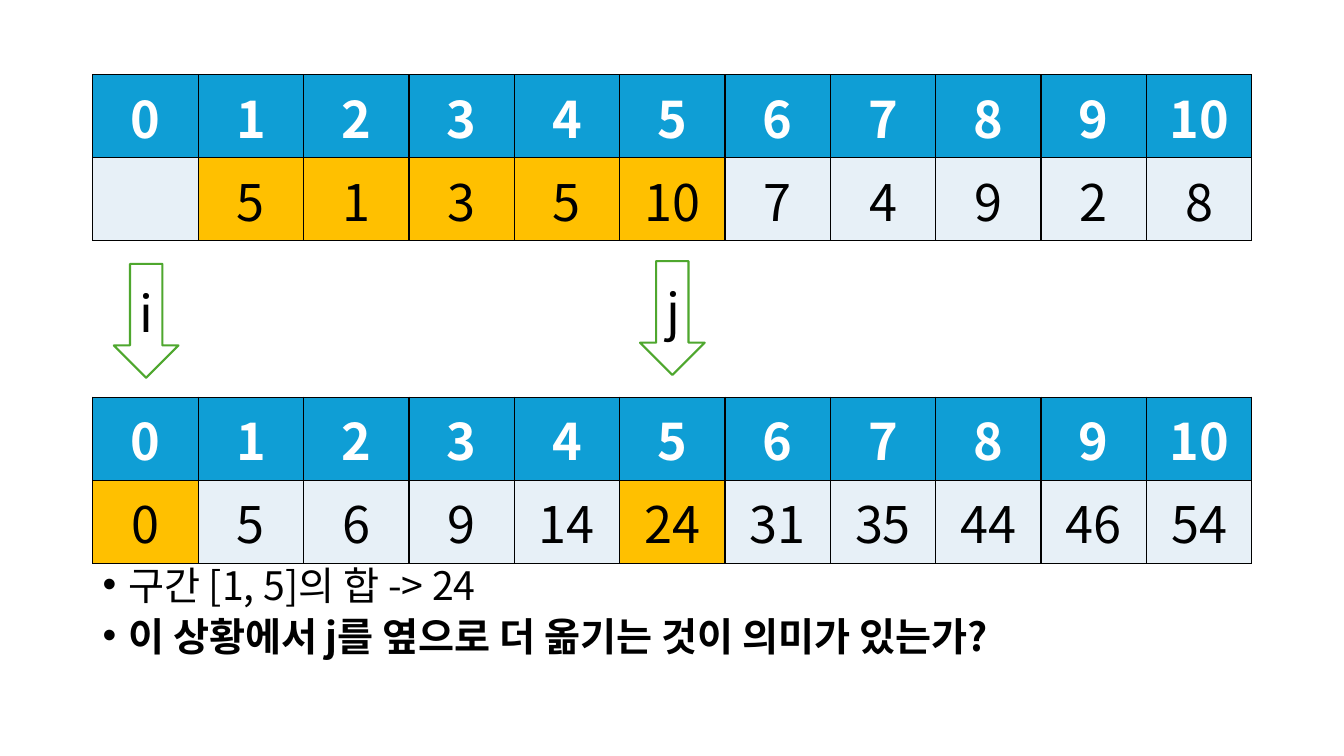
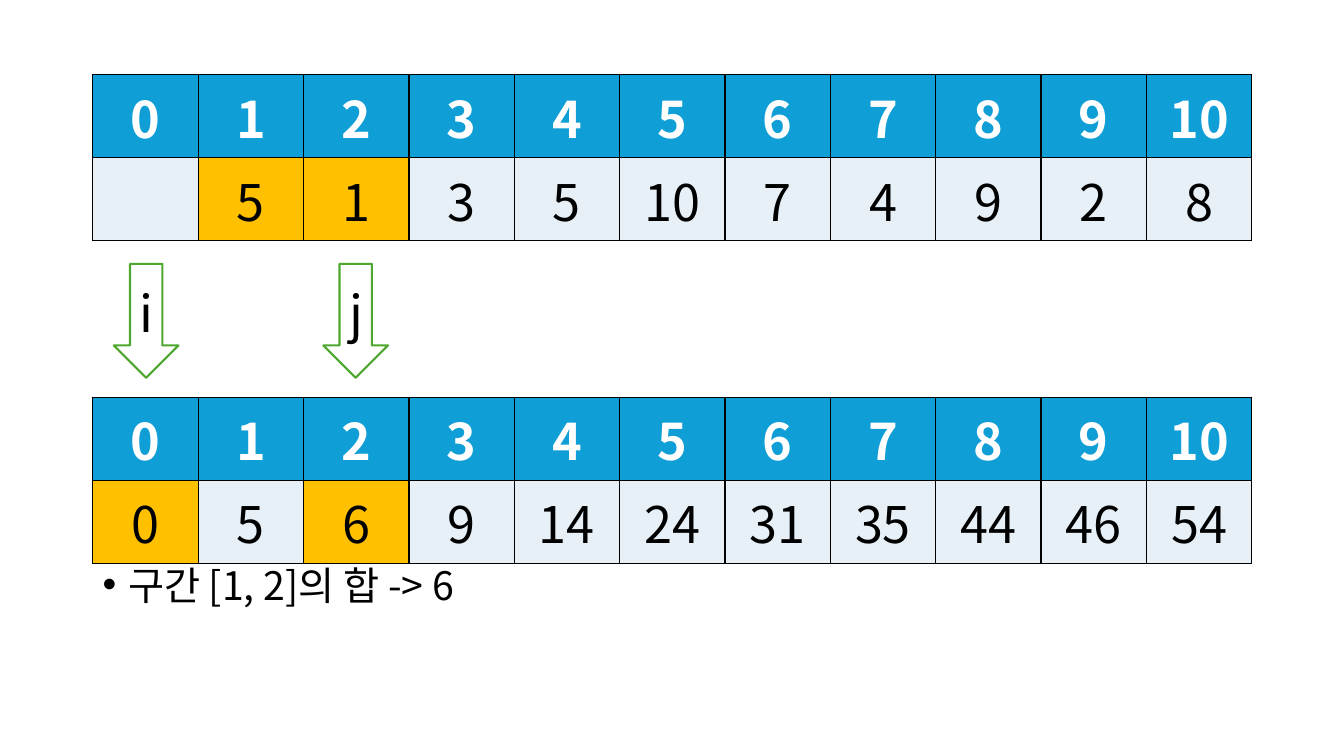
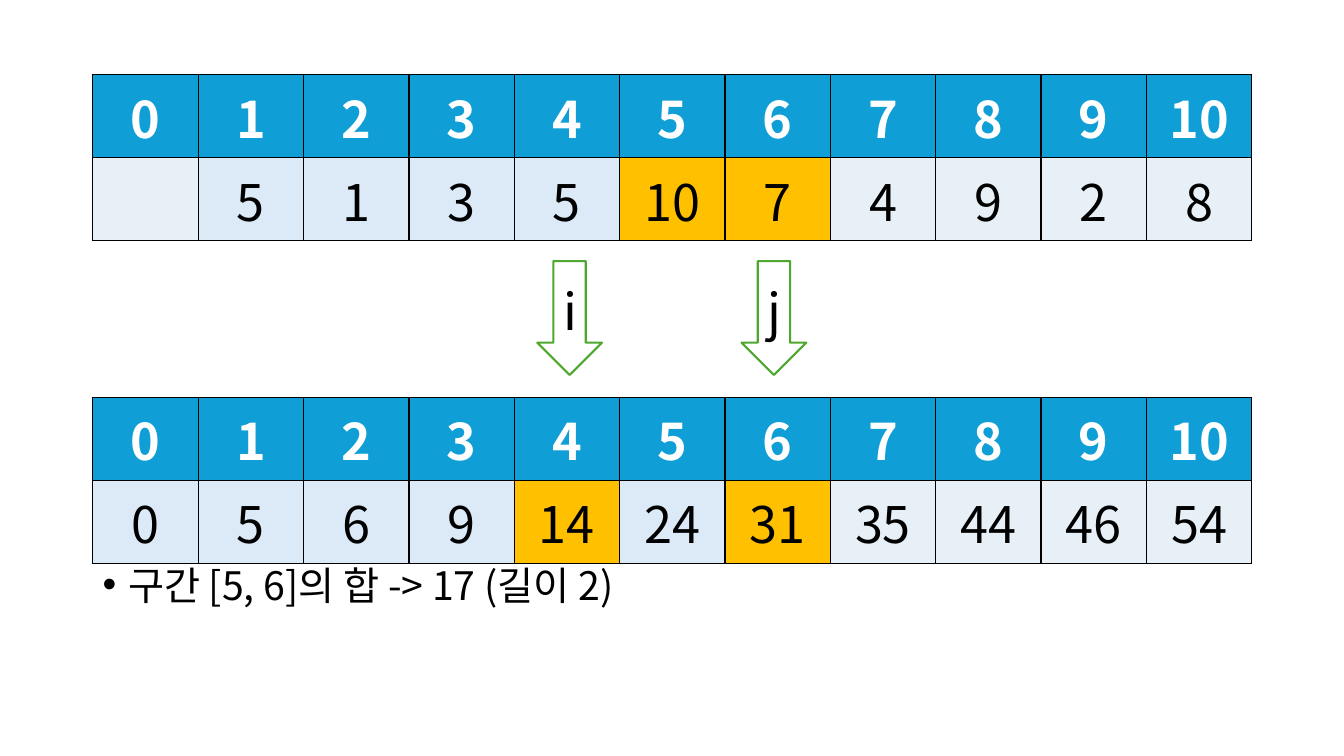
from dataclasses import dataclass
from itertools import accumulate
from typing import Sequence

from lxml.etree import SubElement
from pptx import Presentation
from pptx.dml.color import RGBColor
from pptx.enum.shapes import MSO_SHAPE as Preset
from pptx.enum.text import MSO_ANCHOR as Anchor, PP_ALIGN as Align
from pptx.oxml.ns import qn
from pptx.util import Cm, Pt

# Shared style
FONT = "Noto Sans CJK KR"
COLORS = {
    "header": "0F9ED5",
    "plain": "E7F0F7",
    "passed": "DCEAF7",
    "highlight": "FFC000",
    "arrow": "4EA72E",
    "white": "FFFFFF",
    "black": "000000",
}
LEFT, WIDTH = Cm(2.34), Cm(29.21)
ROW_HEIGHT = Cm(2.09)
VALUES_TOP, SUMS_TOP, NOTES_TOP = Cm(1.88), Cm(10.01), Cm(14.27)

# Array and its prefix sums, both counted from index 0
VALUES = [5, 1, 3, 5, 10, 7, 4, 9, 2, 8]
SUMS = list(accumulate(VALUES, initial=0))


@dataclass(frozen=True)
class Pointer:
    label: str
    index: int
    left: float
    top: float


@dataclass(frozen=True)
class Note:
    text: str
    bold: bool = False


@dataclass(frozen=True)
class Step:
    start: Pointer
    end: Pointer
    notes: tuple[Note, ...]
    mark_passed: bool = False


STEPS = [
    Step(
        Pointer("i", 0, 2.87, 6.65),
        Pointer("j", 5, 16.13, 6.58),
        (
            Note("구간 [1, 5]의 합 -> 24"),
            Note("이 상황에서 j를 옆으로 더 옮기는 것이 의미가 있는가?", bold=True),
        ),
    ),
    Step(
        Pointer("i", 0, 2.87, 6.65),
        Pointer("j", 2, 8.15, 6.65),
        (Note("구간 [1, 2]의 합 -> 6"),),
    ),
    Step(
        Pointer("i", 4, 13.54, 6.58),
        Pointer("j", 6, 18.69, 6.58),
        (Note("구간 [5, 6]의 합 -> 17 (길이 2)"),),
        mark_passed=True,
    ),
]


def color(name: str) -> RGBColor:
    return RGBColor.from_string(COLORS[name])


def style_paragraph(paragraph, size: float, color_name: str, bold: bool = False) -> None:
    font = paragraph.font
    font.name, font.size, font.bold = FONT, Pt(size), bold
    font.color.rgb = color(color_name)
    defaults = paragraph._p.pPr.find(qn("a:defRPr"))
    SubElement(defaults, qn("a:ea"), typeface=FONT)


def add_borders(cell) -> None:
    properties = cell._tc.get_or_add_tcPr()
    for position, side in enumerate(("lnL", "lnR", "lnT", "lnB")):
        line = properties.makeelement(qn(f"a:{side}"), {"w": str(Pt(1))})
        fill = SubElement(line, qn("a:solidFill"))
        SubElement(fill, qn("a:srgbClr"), val=COLORS["black"])
        properties.insert(position, line)


def fill_cell(cell, text: str, fill: str, text_color: str, bold: bool) -> None:
    cell.fill.solid()
    cell.fill.fore_color.rgb = color(fill)
    cell.vertical_anchor = Anchor.MIDDLE
    cell.text = text
    paragraph = cell.text_frame.paragraphs[0]
    paragraph.alignment = Align.CENTER
    style_paragraph(paragraph, 36, text_color, bold)
    add_borders(cell)


def add_array(slide, top: int, entries: Sequence, highlighted: Sequence[int],
              passed: Sequence[int]) -> None:
    count = len(entries)
    table = slide.shapes.add_table(2, count, LEFT, top, WIDTH, 2 * ROW_HEIGHT).table
    for row in table.rows:
        row.height = ROW_HEIGHT
    for index, entry in enumerate(entries):
        table.columns[index].width = WIDTH // count
        if index in highlighted:
            fill = "highlight"
        else:
            fill = "passed" if index in passed else "plain"
        fill_cell(table.cell(0, index), str(index), "header", "white", True)
        fill_cell(table.cell(1, index), str(entry), fill, "black", False)


def add_pointer(slide, pointer: Pointer) -> None:
    shape = slide.shapes.add_shape(
        Preset.DOWN_ARROW, Cm(pointer.left), Cm(pointer.top), Cm(1.63), Cm(2.87))
    shape.shadow.inherit = False
    shape.fill.solid()
    shape.fill.fore_color.rgb = color("white")
    shape.line.color.rgb = color("arrow")
    shape.line.width = Pt(1.5)
    frame = shape.text_frame
    frame.vertical_anchor = Anchor.MIDDLE
    paragraph = frame.paragraphs[0]
    paragraph.text = pointer.label
    paragraph.alignment = Align.CENTER
    style_paragraph(paragraph, 36, "black")


def add_notes(slide, notes: Sequence[Note]) -> None:
    frame = slide.shapes.add_textbox(LEFT, NOTES_TOP, WIDTH, Cm(2.9)).text_frame
    frame.word_wrap = True
    for position, note in enumerate(notes):
        paragraph = frame.add_paragraph() if position else frame.paragraphs[0]
        paragraph.text = note.text
        properties = paragraph._p.get_or_add_pPr()
        properties.set("marL", str(Cm(0.64)))
        properties.set("indent", str(-Cm(0.64)))
        SubElement(properties, qn("a:buFont"), typeface="Arial")
        SubElement(properties, qn("a:buChar"), char="•")
        paragraph.line_spacing = 0.78
        paragraph.space_before = Pt(10)
        style_paragraph(paragraph, 28, "black", note.bold)


def build_slide(presentation, step: Step) -> None:
    slide = presentation.slides.add_slide(presentation.slide_layouts[6])
    start, end = step.start.index, step.end.index
    passed = range(end + 1) if step.mark_passed else ()
    add_notes(slide, step.notes)
    add_array(slide, SUMS_TOP, SUMS, (start, end), passed)
    for pointer in (step.start, step.end):
        add_pointer(slide, pointer)
    # Index 0 of the value array stays empty and is never passed
    add_array(slide, VALUES_TOP, ["", *VALUES], range(start + 1, end + 1), passed[1:])


def main() -> None:
    presentation = Presentation()
    presentation.slide_width, presentation.slide_height = Cm(33.87), Cm(19.05)
    for step in STEPS:
        build_slide(presentation, step)
    presentation.save("out.pptx")


if __name__ == "__main__":
    main()
